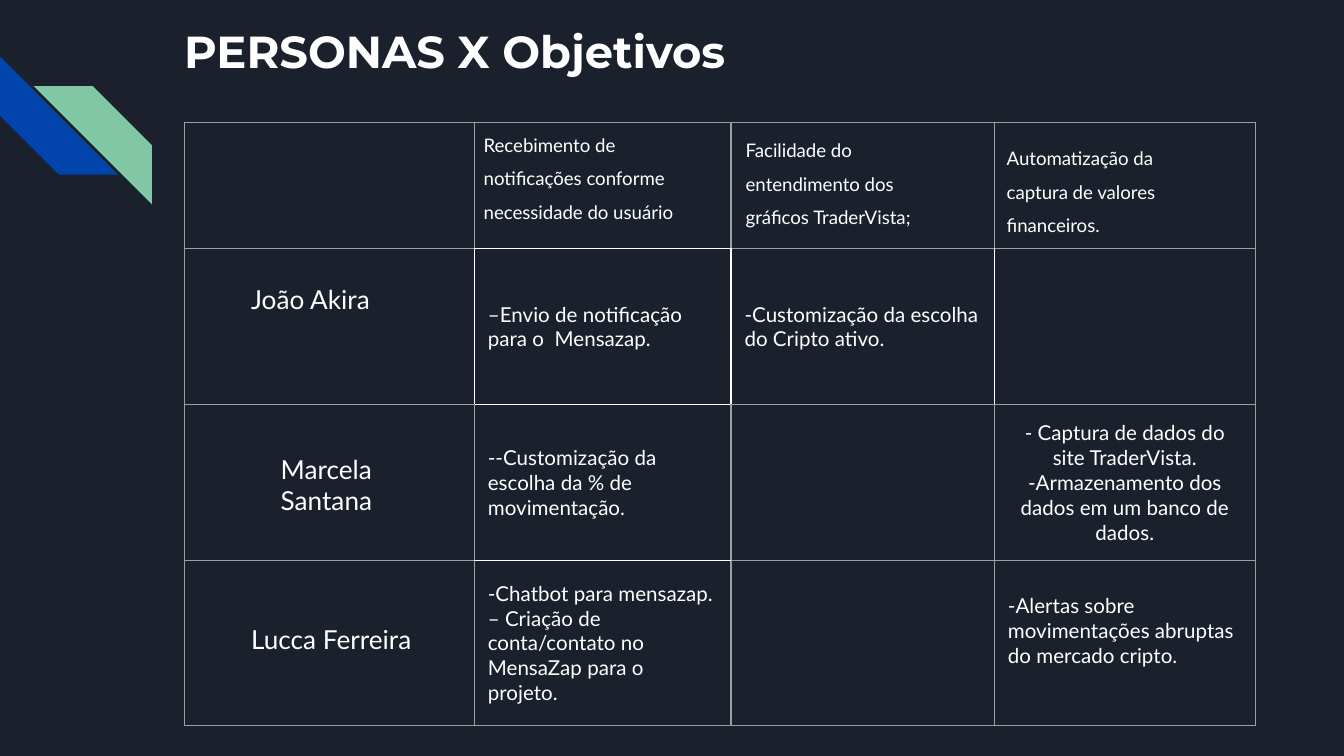
from lxml.etree import SubElement
from pptx import Presentation
from pptx.dml.color import RGBColor
from pptx.enum.shapes import MSO_SHAPE
from pptx.enum.text import MSO_ANCHOR, PP_ALIGN
from pptx.oxml.ns import qn
from pptx.util import Inches, Pt

NAVY = RGBColor(0x1B, 0x21, 0x2C)
BLUE = RGBColor(0x01, 0x45, 0xAC)
GREEN = RGBColor(0x82, 0xC7, 0xA5)
GRAY = RGBColor(0x9E, 0x9E, 0x9E)
WHITE = RGBColor(0xFF, 0xFF, 0xFF)

SLIDE_WIDTH = 10
COLUMN_WIDTHS = [2.16, 1.91, 1.96, 1.94]
ROW_HEIGHTS = [0.94, 1.16, 1.16, 1.23]
GOALS = {
    (1, 1): ["–Envio de notificação para o  Mensazap."],
    (1, 2): ["-Customização da escolha do Cripto ativo."],
    (2, 1): ["--Customização da escolha da % de movimentação."],
    (2, 3): [
        "- Captura de dados do site TraderVista.",
        "-Armazenamento dos dados em um banco de dados.",
    ],
    (3, 1): [
        "-Chatbot para mensazap.",
        "– Criação de conta/contato no MensaZap para o projeto.",
    ],
    (3, 3): ["-Alertas sobre movimentações abruptas do mercado cripto."],
}
CENTERED_CELLS = {(2, 3)}
BOTTOM_INSETS = {(3, 3): 0.23}
WHITE_EDGES = {
    (0, 1): "B",
    (1, 0): "R",
    (1, 1): "LRTB",
    (1, 2): "LR",
    (1, 3): "L",
    (2, 1): "TB",
    (3, 1): "T",
}
HEADINGS = [
    ("Recebimento de notificações conforme necessidade do usuário",
     3.5, 0.81, 1.79, 0.83, 0.1),
    ("Facilidade do entendimento dos gráficos TraderVista;",
     5.45, 0.85, 1.79, 0.95, 0.1),
    ("Automatização da captura de valores financeiros.",
     7.49, 0.91, 1.51, 1, 0),
]
PERSONAS = [
    ("João Akira", 1.77, 2.01, 1.58, 0.43),
    ("Marcela Santana", 1.99, 3.27, 1.14, 0.43),
    ("Lucca Ferreira", 1.77, 4.54, 1.45, 0.67),
]


def add_span(para, text, size, font="Lato", bold=False):
    span = para.add_run()
    span.text = text
    span.font.size = Pt(size)
    span.font.name = font
    span.font.bold = bold
    span.font.color.rgb = WHITE


def add_text(page, text, left, top, width, height, size,
             side_inset=0.1, spacing=1.0, font="Lato", bold=False):
    box = page.shapes.add_textbox(
        Inches(left), Inches(top), Inches(width), Inches(height))
    frame = box.text_frame
    frame.word_wrap = True
    frame.margin_left = frame.margin_right = Inches(side_inset)
    frame.margin_top = frame.margin_bottom = Inches(0.1)
    para = frame.paragraphs[0]
    para.line_spacing = spacing
    add_span(para, text, size, font, bold)


def add_stripe(page, left, top, rotation, color):
    stripe = page.shapes.add_shape(
        MSO_SHAPE.DIAGONAL_STRIPE,
        Inches(left), Inches(top), Inches(0.88), Inches(0.88))
    stripe.rotation = rotation
    stripe.shadow.inherit = False
    stripe.fill.solid()
    stripe.fill.fore_color.rgb = color
    stripe.line.fill.background()


def draw_borders(cell, white_edges):
    properties = cell._tc.get_or_add_tcPr()
    for edge in "LRTB":
        line = SubElement(properties, qn(f"a:ln{edge}"), w=str(Pt(0.75)))
        fill = SubElement(line, qn("a:solidFill"))
        color = WHITE if edge in white_edges else GRAY
        SubElement(fill, qn("a:srgbClr"), val=str(color))


def fill_cell(cell, position):
    draw_borders(cell, WHITE_EDGES.get(position, ""))
    cell.fill.background()
    cell.vertical_anchor = MSO_ANCHOR.MIDDLE
    cell.margin_bottom = Inches(BOTTOM_INSETS.get(position, 0.05))
    frame = cell.text_frame
    for index, goal in enumerate(GOALS.get(position, [])):
        para = frame.add_paragraph() if index else frame.paragraphs[0]
        if position in CENTERED_CELLS:
            para.alignment = PP_ALIGN.CENTER
        add_span(para, goal, 11)


def add_goals_table(page):
    table = page.shapes.add_table(
        len(ROW_HEIGHTS), len(COLUMN_WIDTHS), Inches(1.37), Inches(0.91),
        Inches(sum(COLUMN_WIDTHS)), Inches(sum(ROW_HEIGHTS))).table
    table.first_row = False
    table.horz_banding = False
    for column, width in zip(table.columns, COLUMN_WIDTHS):
        column.width = Inches(width)
    for row_index, height in enumerate(ROW_HEIGHTS):
        table.rows[row_index].height = Inches(height)
        for column_index in range(len(COLUMN_WIDTHS)):
            fill_cell(table.cell(row_index, column_index),
                      (row_index, column_index))


def main():
    deck = Presentation()
    deck.slide_width = Inches(SLIDE_WIDTH)
    deck.slide_height = Inches(SLIDE_WIDTH * 9 / 16)
    page = deck.slides.add_slide(deck.slide_layouts[6])
    page.background.fill.solid()
    page.background.fill.fore_color.rgb = NAVY

    add_stripe(page, 0, 0.42, 270, BLUE)
    add_stripe(page, 0.25, 0.64, 90, GREEN)
    add_goals_table(page)
    for text, left, top, width, height, inset in HEADINGS:
        add_text(page, text, left, top, width, height, 10, inset, 1.5)
    for text, left, top, width, height in PERSONAS:
        add_text(page, text, left, top, width, height, 14)
    add_text(page, "PERSONAS X Objetivos", 1.37, 0.08, 7.7, 0.65, 24,
             side_inset=0, font="Montserrat", bold=True)
    deck.save("out.pptx")


if __name__ == "__main__":
    main()
